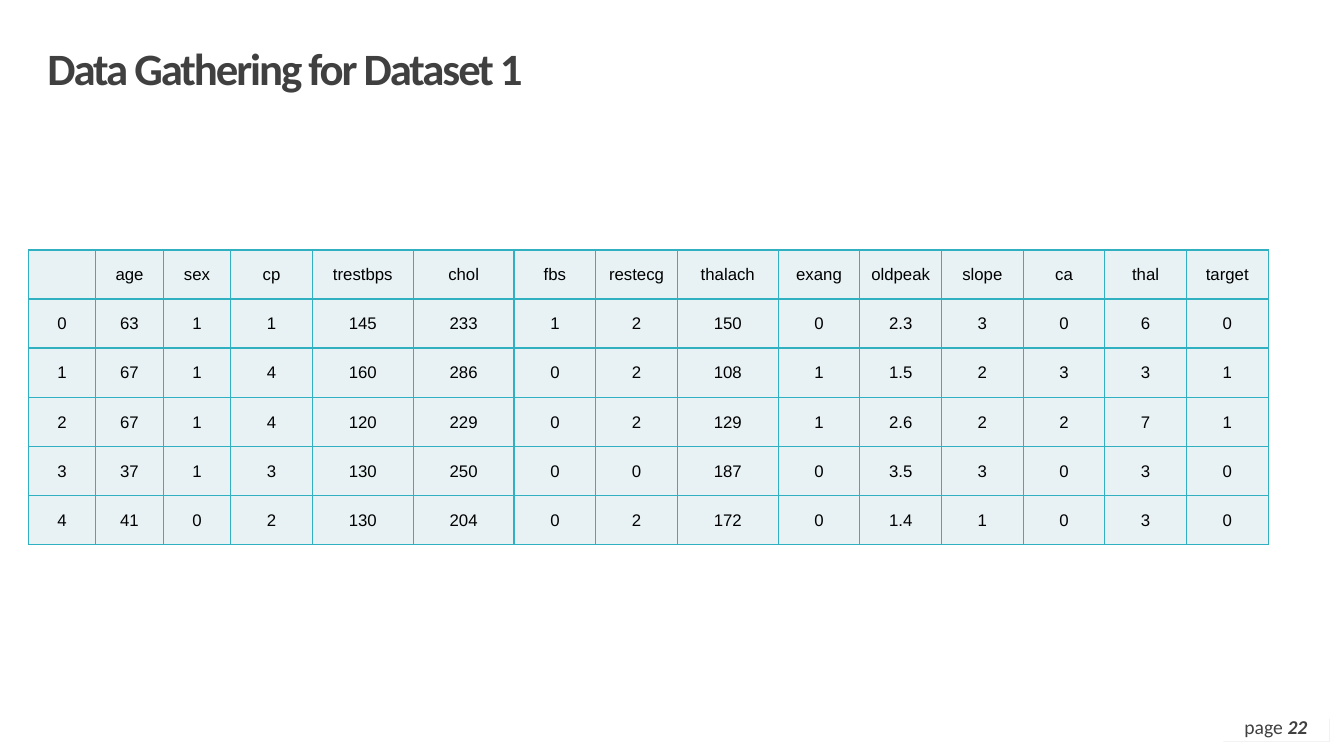
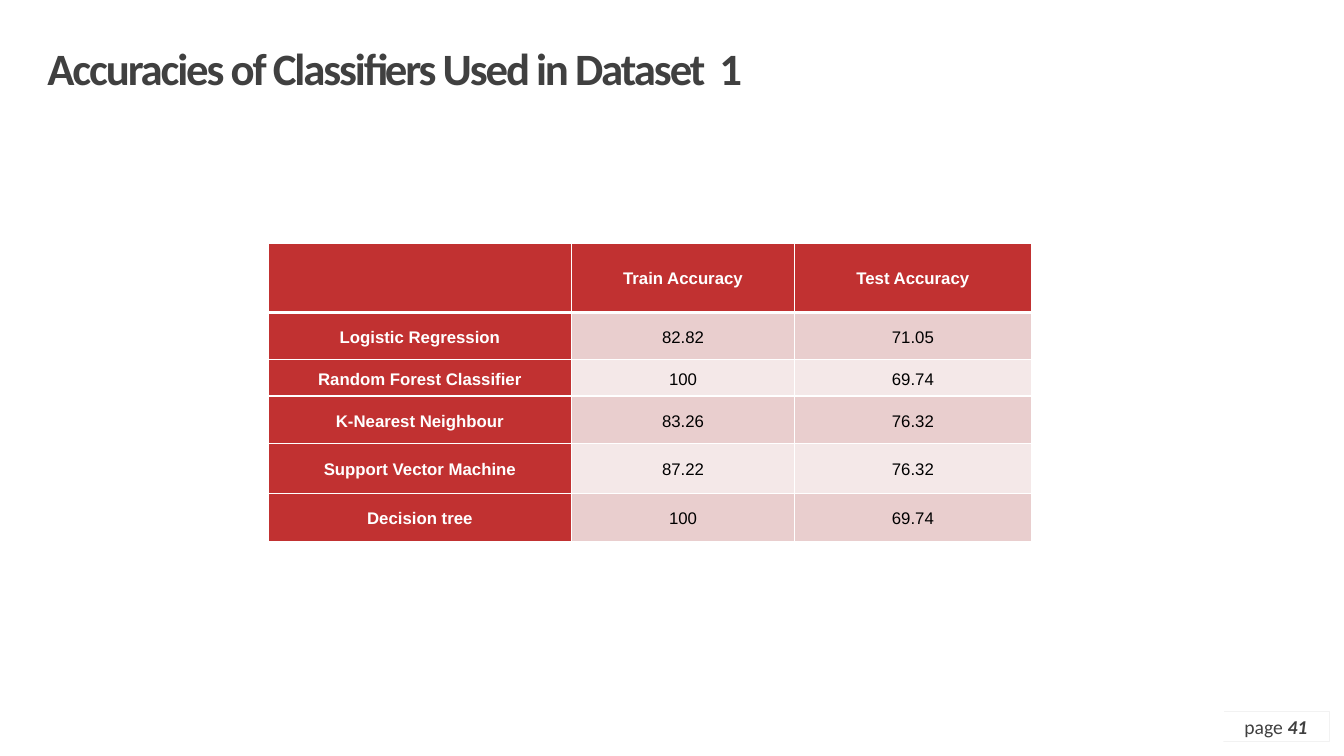
"""Build two slides on the heart data set: sample records and classifier accuracies."""
import pptx
import pptx.dml.color
import pptx.enum.shapes
import pptx.enum.text
import pptx.oxml
import pptx.oxml.ns
import pptx.util

Inches = pptx.util.Inches
Pt = pptx.util.Pt
RGBColor = pptx.dml.color.RGBColor
CENTER = pptx.enum.text.PP_ALIGN.CENTER
MIDDLE = pptx.enum.text.MSO_ANCHOR.MIDDLE

WHITE = RGBColor(0xFF, 0xFF, 0xFF)
BLACK = RGBColor(0x00, 0x00, 0x00)
PALE_GRAY = RGBColor(0xF2, 0xF2, 0xF2)
DARK_GRAY = RGBColor(0x40, 0x40, 0x40)
TEAL = RGBColor(0x31, 0xB0, 0xC1)
PALE_TEAL = RGBColor(0xE8, 0xF2, 0xF4)
RED = RGBColor(0xC1, 0x31, 0x31)
ROSE = RGBColor(0xE9, 0xCE, 0xCE)
PALE_ROSE = RGBColor(0xF4, 0xE8, 0xE8)

TITLE_FONT, TABLE_FONT = "Calibri", "Arial"
SLIDE_W, SLIDE_H, MARGIN, RIGHT_BAND = 13.33, 7.5, 0.15, 1.35
BANDS = [
    (0, 0, SLIDE_W, MARGIN),
    (0, 0, MARGIN, SLIDE_H),
    (SLIDE_W - RIGHT_BAND, 0, RIGHT_BAND, SLIDE_H),
    (0, SLIDE_H - MARGIN, SLIDE_W, MARGIN),
]
PAGE_BOX = (12.13, 7.06, 1.05, 0.29)
CONTENT_PANEL = (0.13, 0.12, 12, 7.23)
TITLE_BOX = (0.47, 0.47, 11.09, 0.47)

RECORDS = [
    ["", "age", "sex", "cp", "trestbps", "chol", "fbs", "restecg", "thalach",
     "exang", "oldpeak", "slope", "ca", "thal", "target"],
    ["0", "63", "1", "1", "145", "233", "1", "2", "150", "0", "2.3", "3", "0", "6", "0"],
    ["1", "67", "1", "4", "160", "286", "0", "2", "108", "1", "1.5", "2", "3", "3", "1"],
    ["2", "67", "1", "4", "120", "229", "0", "2", "129", "1", "2.6", "2", "2", "7", "1"],
    ["3", "37", "1", "3", "130", "250", "0", "0", "187", "0", "3.5", "3", "0", "3", "0"],
    ["4", "41", "0", "2", "130", "204", "0", "2", "172", "0", "1.4", "1", "0", "3", "0"],
]
WIDE_FIELDS = {"trestbps", "chol", "thalach"}
NARROW_FIELDS = {"", "age", "sex"}
RECORDS_HEIGHT = 2.92

ACCURACIES = [
    ["", "Train Accuracy", "Test Accuracy"],
    ["Logistic Regression", "82.82", "71.05"],
    ["Random Forest Classifier", "100", "69.74"],
    ["K-Nearest Neighbour", "83.26", "76.32"],
    ["Support Vector Machine", "87.22", "76.32"],
    ["Decision tree", "100", "69.74"],
]
ACCURACY_WIDTHS = [3.01, 2.21, 2.35]
ACCURACY_HEIGHTS = [0.69, 0.47, 0.36, 0.47, 0.5, 0.47]


def place(box):
    return [Inches(length) for length in box]


def add_rect(slide, box, fill=None, line=None, line_width=0):
    rect = slide.shapes.add_shape(pptx.enum.shapes.MSO_SHAPE.RECTANGLE, *place(box))
    rect.shadow.inherit = False
    if fill is None:
        rect.fill.background()
    else:
        rect.fill.solid()
        rect.fill.fore_color.rgb = fill
    if line is None:
        rect.line.fill.background()
    else:
        rect.line.color.rgb = line
        rect.line.width = Pt(line_width)
    return rect


def prepare_frame(frame):
    frame.margin_left = frame.margin_right = frame.margin_top = frame.margin_bottom = 0
    frame.vertical_anchor = MIDDLE
    frame.word_wrap = True
    return frame.paragraphs[0]


def add_run(paragraph, text, font, size, color, bold=False, italic=False):
    run = paragraph.add_run()
    run.text = text
    run.font.name = font
    run.font.size = Pt(size)
    run.font.color.rgb = color
    run.font.bold = bold
    run.font.italic = italic
    return run


def add_page(prs, title, number, patch_height):
    slide = prs.slides.add_slide(prs.slide_layouts[6])
    slide.background.fill.solid()
    slide.background.fill.fore_color.rgb = PALE_GRAY
    for band in BANDS:
        add_rect(slide, band, WHITE)

    page_label = prepare_frame(add_rect(slide, PAGE_BOX, None, PALE_GRAY, 0.25).text_frame)
    page_label.alignment = CENTER
    add_run(page_label, "page ", TITLE_FONT, 14, DARK_GRAY)
    add_run(page_label, number, TITLE_FONT, 14, DARK_GRAY, True, True)

    for panel in [(11.98, 6.43, 1.2, patch_height), CONTENT_PANEL]:
        add_rect(slide, panel, WHITE, WHITE, 2)

    heading = prepare_frame(slide.shapes.add_textbox(*place(TITLE_BOX)).text_frame)
    heading.line_spacing = 0.9
    title_run = add_run(heading, title, TITLE_FONT, 32, DARK_GRAY, True)
    title_run._r.get_or_add_rPr().set("spc", "-150")
    return slide


def set_borders(cell, color, bottom_width):
    props = cell._tc.get_or_add_tcPr()
    for index, side in enumerate("LRTB"):
        width = Pt(bottom_width if side == "B" else 1)
        props.insert(index, pptx.oxml.parse_xml(
            f'<a:ln{side} {pptx.oxml.ns.nsdecls("a")} w="{width}"><a:solidFill>'
            f'<a:srgbClr val="{color}"/></a:solidFill></a:ln{side}>'))


def add_grid(slide, corner, rows, widths, heights, margins, style):
    box = place((*corner, sum(widths), sum(heights)))
    table = slide.shapes.add_table(len(rows), len(widths), *box).table
    table.first_row = table.horz_banding = False
    for column, width in zip(table.columns, widths):
        column.width = Inches(width)
    for row, height in zip(table.rows, heights):
        row.height = Inches(height)
    for r, values in enumerate(rows):
        for c, value in enumerate(values):
            cell = table.cell(r, c)
            look = style(r, c)
            cell.margin_left, cell.margin_top, cell.margin_right, cell.margin_bottom = place(margins)
            cell.vertical_anchor = MIDDLE
            cell.fill.solid()
            cell.fill.fore_color.rgb = look["fill"]
            set_borders(cell, look["border"], look.get("bottom", 1))
            paragraph = cell.text_frame.paragraphs[0]
            paragraph.alignment = CENTER
            if "spacing" in look:
                paragraph.line_spacing, paragraph.space_after = look["spacing"]
            if value:
                add_run(paragraph, value, TABLE_FONT, 12, look["color"], look.get("bold", False))


def record_width(field):
    if field in WIDE_FIELDS:
        return 1
    return 0.67 if field in NARROW_FIELDS else 0.81


def record_style(row, column):
    return {"fill": PALE_TEAL, "border": TEAL, "color": BLACK}


def accuracy_style(row, column):
    header = row == 0 or column == 0
    return {
        "fill": RED if header else (ROSE if row % 2 else PALE_ROSE),
        "border": WHITE,
        "bottom": 3 if row == 0 else 1,
        "color": WHITE if header else BLACK,
        "bold": header,
        "spacing": (1.15, Pt(10)),
    }


def main():
    prs = pptx.Presentation()
    prs.slide_width, prs.slide_height = Inches(SLIDE_W), Inches(SLIDE_H)

    gathering = add_page(prs, "Data Gathering for Dataset 1", "22", 0.7)
    add_grid(gathering, (0.28, 2.48), RECORDS, [record_width(field) for field in RECORDS[0]],
             [RECORDS_HEIGHT / len(RECORDS)] * len(RECORDS), (0.01, 0.01, 0.01, 0), record_style)

    results = add_page(prs, "Accuracies of Classifiers Used in Dataset  1", "41", 0.55)
    add_grid(results, (2.66, 2.41), ACCURACIES, ACCURACY_WIDTHS, ACCURACY_HEIGHTS,
             (0.07, 0, 0.07, 0), accuracy_style)

    prs.save("out.pptx")


if __name__ == "__main__":
    main()
